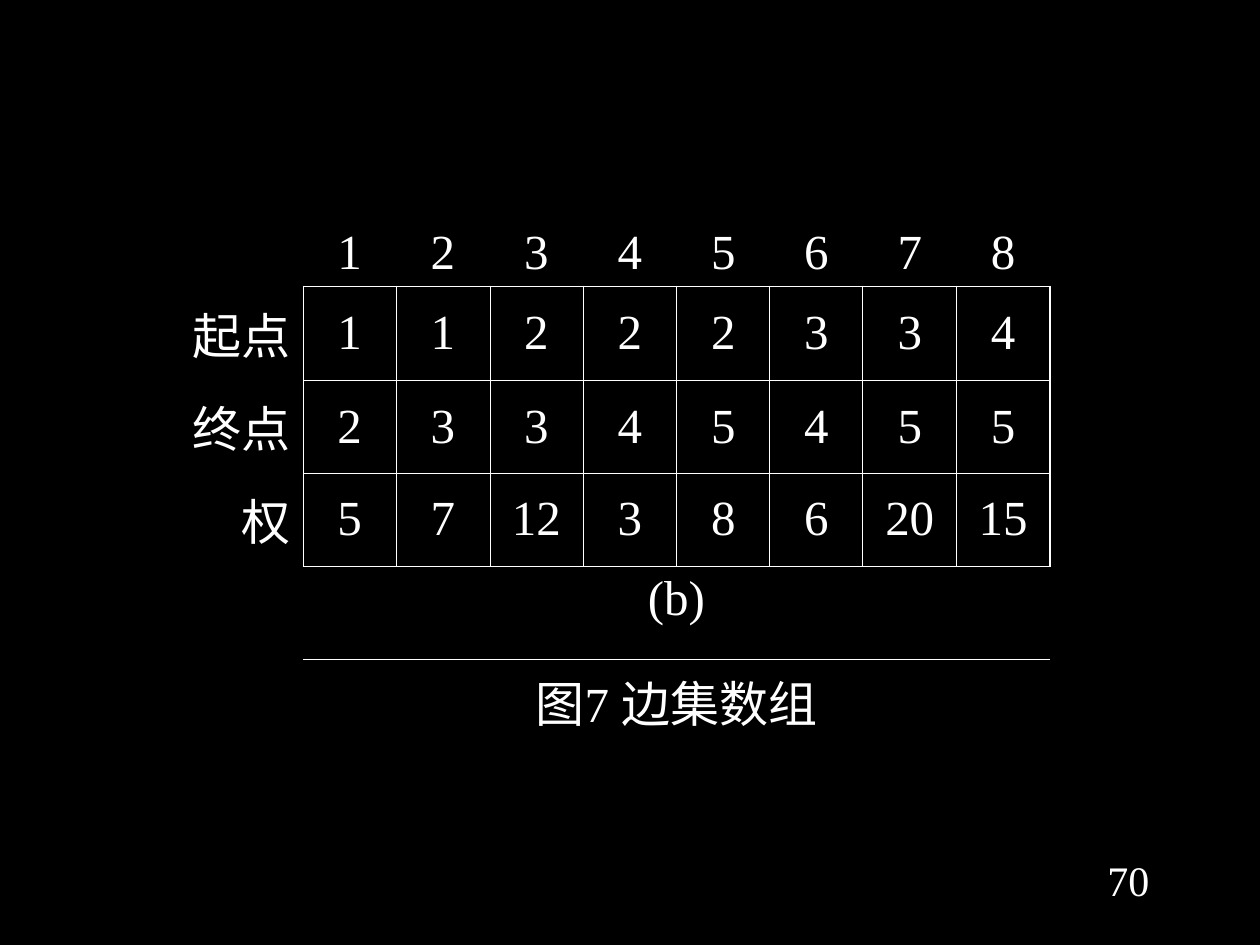
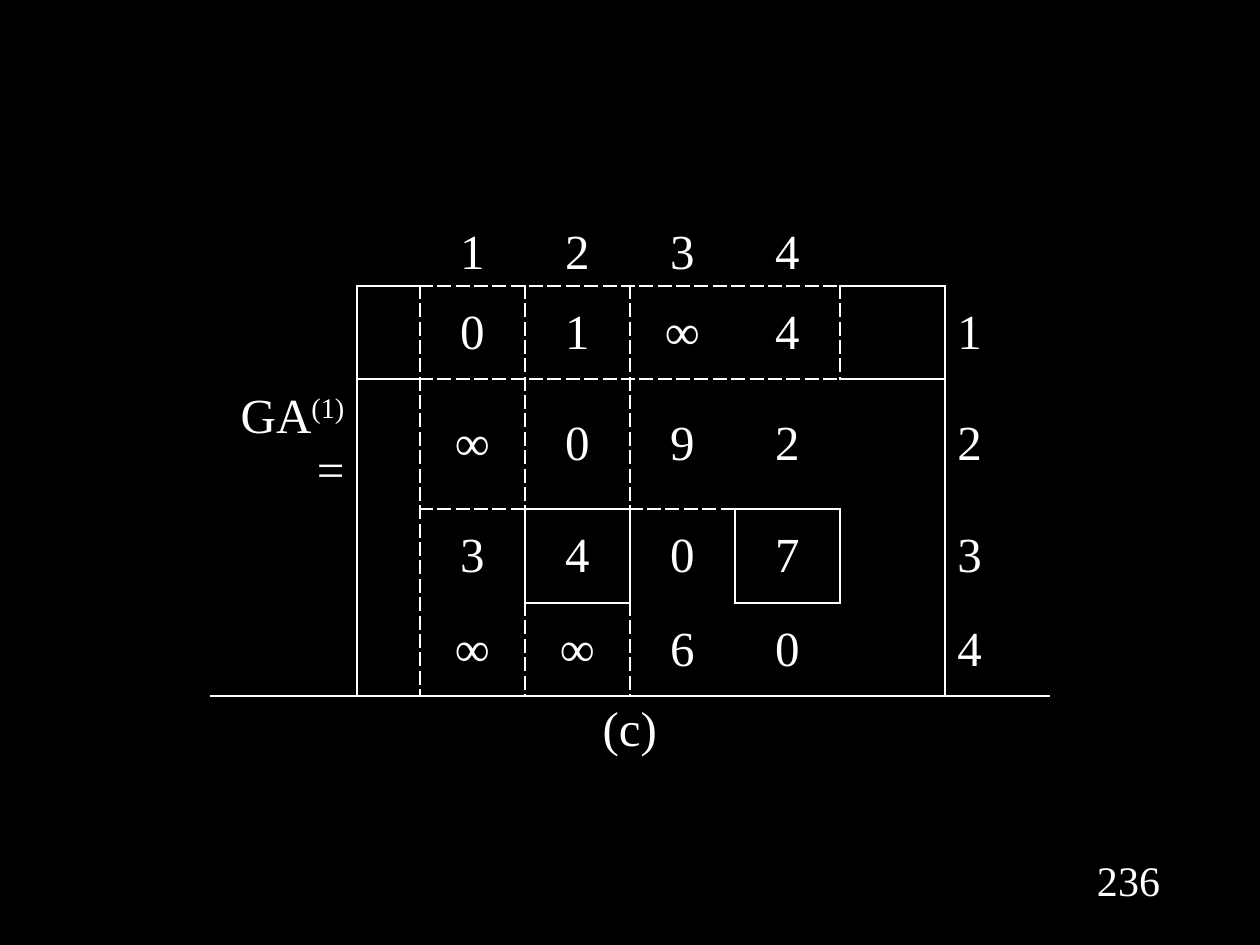
from collections import defaultdict

from lxml.etree import SubElement
from pptx import Presentation
from pptx.dml.color import RGBColor
from pptx.enum.text import MSO_ANCHOR as Anchor, PP_ALIGN as Align
from pptx.oxml.ns import qn
from pptx.util import Pt

PX = 914400 // 126
BLACK = RGBColor(0, 0, 0)
WHITE = RGBColor(255, 255, 255)
FONT = "Times New Roman"
PLAIN_TABLE = "{2D5ABB26-0587-4C30-8999-92F81FD0307C}"
THIN = (0.45, "solid")
EDGE = (1.08, "solid")
SOLID = (1.47, "solid")
DASH = (1.47, "dash")


def px(*lengths):
    return [n * PX for n in lengths]


def split(total, n):
    edges = [round(total * i / n) for i in range(n + 1)]
    return [b - a for a, b in zip(edges, edges[1:])]


def format_paragraph(p, size, align):
    p.alignment = align
    for r in p.runs:
        r.font.name = FONT
        r.font.size = Pt(size)
        r.font.color.rgb = WHITE


def add_slide(prs, number):
    s = prs.slides.add_slide(prs.slide_layouts[6])
    tf = s.shapes.add_textbox(*px(1081, 848, 95, 63)).text_frame
    tf.word_wrap = True
    tf.text = number
    format_paragraph(tf.paragraphs[0], 24, Align.CENTER)
    return s


def h_line(borders, row, start, stop, line):
    for col in range(start, stop):
        borders[row - 1, col]["B"] = line
        borders[row, col]["T"] = line


def v_line(borders, col, start, stop, line):
    for row in range(start, stop):
        borders[row, col - 1]["R"] = line
        borders[row, col]["L"] = line


def draw_borders(cell, sides):
    tcPr = cell._tc.get_or_add_tcPr()
    for side in "LRTB":
        if side in sides:
            width, dash = sides[side]
            ln = SubElement(tcPr, qn(f"a:ln{side}"), w=str(Pt(width)))
            fill = SubElement(ln, qn("a:solidFill"))
            SubElement(fill, qn("a:srgbClr"), val=str(WHITE))
            SubElement(ln, qn("a:prstDash"), val=dash)


def set_cell(cell, text, align, anchor):
    cell.vertical_anchor = anchor
    p = cell.text_frame.paragraphs[0]
    for i, part in enumerate(text.split("^")):
        r = p.add_run()
        r.text = part
        if i % 2:
            r._r.get_or_add_rPr().set("baseline", "30000")
    format_paragraph(p, 28, align)


def add_grid(s, left, top, widths, heights, rows, borders, aligns, captions):
    size = px(left, top, sum(widths), sum(heights))
    table = s.shapes.add_table(len(heights), len(widths), *size).table
    table.first_row = table.horz_banding = False
    table._tbl.tblPr.find(qn("a:tableStyleId")).text = PLAIN_TABLE
    for column, width in zip(table.columns, widths):
        column.width = width * PX
    for row, height in zip(table.rows, heights):
        row.height = height * PX
    for y in range(len(heights)):
        for x in range(len(widths)):
            cell = table.cell(y, x)
            draw_borders(cell, borders[y, x])
            cell.fill.background()
    for y, row in enumerate(rows):
        for x, text in enumerate(row):
            if text:
                anchor = Anchor.MIDDLE if y else Anchor.BOTTOM
                set_cell(table.cell(y, x), text, aligns.get(x, Align.CENTER), anchor)
    for y, (first, text) in enumerate(captions, len(rows)):
        cell = table.cell(y, first)
        cell.merge(table.cell(y, len(widths) - 1))
        set_cell(cell, text, Align.CENTER, Anchor.TOP)


def edge_array_slide(prs):
    s = add_slide(prs, "70")
    rows = [
        ["", *"12345678"],
        ["起点", *"11222334"],
        ["终点", *"23345455"],
        ["权", "5", "7", "12", "3", "8", "6", "20", "15"],
    ]
    borders = defaultdict(dict)
    for row in range(1, 5):
        h_line(borders, row, 1, 9, THIN)
    for col in range(1, 9):
        v_line(borders, col, 1, 4, THIN)
    v_line(borders, 9, 1, 4, EDGE)
    add_grid(s, 168, 193, [135, *split(747, 8)], split(560, 6), rows, borders,
             {0: Align.RIGHT}, [(1, "(b)"), (1, "图7 边集数组")])


def matrix_slide(prs):
    s = add_slide(prs, "236")
    rows = [
        ["", "", *"1234", "", ""],
        ["", "", *"01∞4", "", "1"],
        ["GA^(1)^=", "", *"∞092", "", "2"],
        ["", "", *"3407", "", "3"],
        ["", "", *"∞∞60", "", "4"],
    ]
    borders = defaultdict(dict)
    h_line(borders, 1, 1, 7, SOLID)
    h_line(borders, 5, 0, 8, SOLID)
    for col in (1, 7):
        v_line(borders, col, 1, 5, SOLID)
    for row in (1, 2):
        h_line(borders, row, 2, 6, DASH)
    for col in (2, 3):
        v_line(borders, col, 1, 5, DASH)
    v_line(borders, 6, 1, 2, DASH)
    for boxed in (3, 5):
        for k in (0, 1):
            h_line(borders, 3 + k, boxed, boxed + 1, SOLID)
            v_line(borders, boxed + k, 3, 4, SOLID)
    add_grid(s, 210, 193, [147, 63] + [105] * 6, [93, 93, 130, 94, 93, 94],
             rows, borders, {0: Align.RIGHT, 7: Align.LEFT}, [(0, "(c)")])


def main():
    prs = Presentation()
    prs.slide_width, prs.slide_height = px(1260, 945)
    fill = prs.slide_master.background.fill
    fill.solid()
    fill.fore_color.rgb = BLACK
    edge_array_slide(prs)
    matrix_slide(prs)
    prs.save("out.pptx")


if __name__ == "__main__":
    main()
